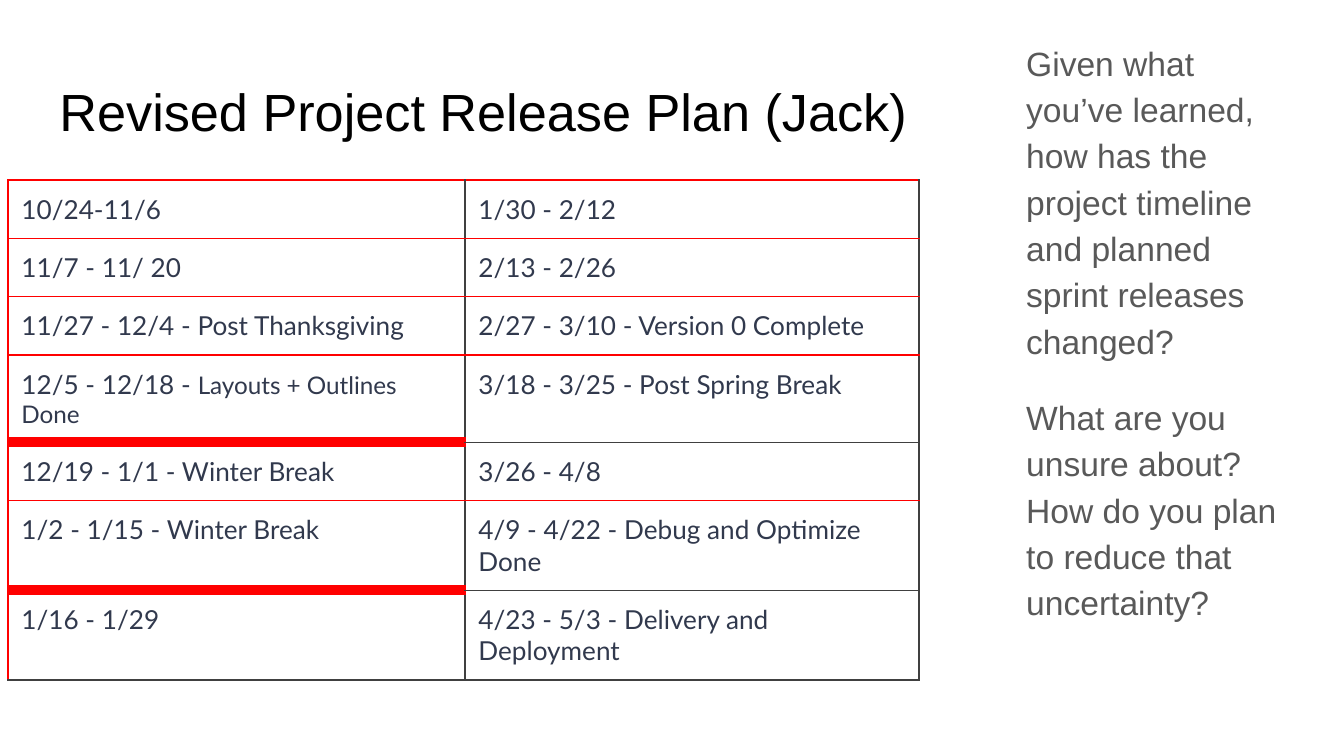
"""Build the revised project release plan slide."""
from pptx import Presentation
from pptx.dml.color import RGBColor
from pptx.enum.text import MSO_ANCHOR, MSO_AUTO_SIZE, PP_ALIGN
from pptx.oxml import parse_xml
from pptx.oxml.ns import nsdecls
from pptx.util import Pt

TOP, LEFT, NO_FIT = MSO_ANCHOR.TOP, PP_ALIGN.LEFT, MSO_AUTO_SIZE.NONE
PX = 914400 / 134.4
COLORS = {"title": "000000", "body": "595959", "cell": "31394D",
          "red": "FF0000", "dark": "404040"}

TITLE = "Revised Project Release Plan (Jack)"
QUESTIONS = [
    "Given what you’ve learned, how has the project timeline and planned sprint releases changed?",
    "What are you unsure about? How do you plan to reduce that uncertainty?",
]
SPRINTS = [
    ([("10/24-11/6", 14)], [("1/30 - 2/12", 14)]),
    ([("11/7 - 11/ 20", 14)], [("2/13 - 2/26", 14)]),
    ([("11/27 - 12/4 - Post Thanksgiving", 14)], [("2/27 - 3/10 - Version 0 Complete", 14)]),
    ([("12/5 - 12/18 - ", 14), ("Layouts + Outlines Done", 13)],
     [("3/18 - 3/25 - Post Spring Break", 14)]),
    ([("12/19 - 1/1 - Winter Break", 14)], [("3/26 - 4/8", 14)]),
    ([("1/2 - 1/15 - Winter Break", 14)], [("4/9 - 4/22 - Debug and Optimize Done", 14)]),
    ([("1/16 - 1/29", 14)], [("4/23 - 5/3 - Delivery and Deployment", 14)]),
]
COL_WIDTHS = [457, 454]
ROW_HEIGHT = 50
MILESTONE_LINES = {4, 6}
DARK_LINES = {(4, 1), (6, 1), (7, 0), (7, 1)}


def px(n):
    return round(n * PX)


def add_run(p, text, size, font, color):
    r = p.add_run()
    r.text = text
    r.font.size = Pt(size)
    r.font.name = font
    r.font.color.rgb = RGBColor.from_string(COLORS[color])


def set_frame(tf):
    tf.word_wrap = True
    tf.auto_size = NO_FIT
    tf.vertical_anchor = TOP
    tf.margin_left = tf.margin_right = tf.margin_top = tf.margin_bottom = px(13.44)


def row_line(line, col):
    if line in MILESTONE_LINES and col == 0:
        return "red", 6
    return ("dark" if (line, col) in DARK_LINES else "red"), 0.75


def set_borders(cell, row, col):
    sides = {
        "lnL": ("dark" if col else "red", 0.75),
        "lnR": ("dark", 0.75),
        "lnT": row_line(row, col),
        "lnB": row_line(row + 1, col),
    }
    tc_pr = cell._tc.get_or_add_tcPr()
    for i, (tag, (color, width)) in enumerate(sides.items()):
        tc_pr.insert(i, parse_xml(
            f'<a:{tag} {nsdecls("a")} w="{Pt(width)}"><a:solidFill>'
            f'<a:srgbClr val="{COLORS[color]}"/></a:solidFill></a:{tag}>'))


def add_title(s):
    sp = s.shapes.title
    sp.left, sp.top, sp.width, sp.height = px(46), px(66), px(1253), px(85)
    set_frame(sp.text_frame)
    p = sp.text_frame.paragraphs[0]
    p.alignment = LEFT
    add_run(p, TITLE, 28, "Arial", "title")


def add_questions(s):
    tf = s.shapes.add_textbox(px(1013), px(23), px(290), px(215)).text_frame
    set_frame(tf)
    for i, text in enumerate(QUESTIONS):
        p = tf.add_paragraph() if i else tf.paragraphs[0]
        p.line_spacing = 1.15
        p.space_before = Pt(16 if i else 0)
        add_run(p, text, 18, "Arial", "body")


def add_plan(s):
    table = s.shapes.add_table(len(SPRINTS), len(COL_WIDTHS), px(8), px(180),
                               px(sum(COL_WIDTHS)), px(ROW_HEIGHT * len(SPRINTS))).table
    table.first_row = table.horz_banding = False
    for col, width in enumerate(COL_WIDTHS):
        table.columns[col].width = px(width)
    for row, sprints in enumerate(SPRINTS):
        table.rows[row].height = px(ROW_HEIGHT)
        for col, runs in enumerate(sprints):
            cell = table.cell(row, col)
            cell.fill.background()
            cell.vertical_anchor = TOP
            cell.margin_left = cell.margin_right = px(13.44)
            cell.margin_top = cell.margin_bottom = px(13.44)
            set_borders(cell, row, col)
            for text, size in runs:
                add_run(cell.text_frame.paragraphs[0], text, size, "Lato", "cell")


def main():
    prs = Presentation()
    prs.slide_width, prs.slide_height = px(1344), px(756)
    s = prs.slides.add_slide(prs.slide_layouts[5])
    add_title(s)
    add_questions(s)
    add_plan(s)
    prs.save("out.pptx")


if __name__ == "__main__":
    main()
